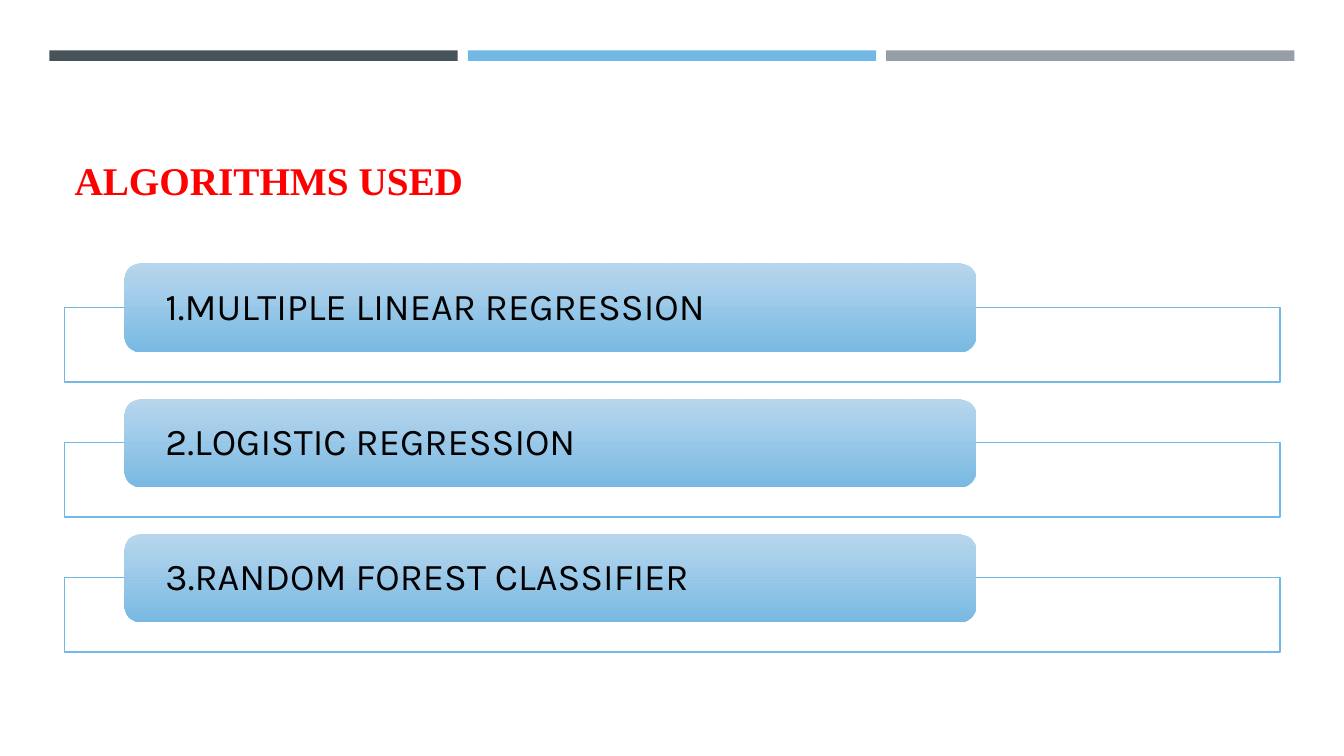
from dataclasses import dataclass

from pptx import Presentation
from pptx.dml.color import RGBColor
from pptx.enum.shapes import MSO_SHAPE
from pptx.enum.text import MSO_ANCHOR, PP_ALIGN
from pptx.oxml.ns import qn
from pptx.oxml.xmlchemy import OxmlElement
from pptx.shapes.autoshape import Shape
from pptx.slide import Slide
from pptx.util import Inches, Pt

RECTANGLE = MSO_SHAPE.RECTANGLE
ROUNDED = MSO_SHAPE.ROUNDED_RECTANGLE
MIDDLE, BOTTOM = MSO_ANCHOR.MIDDLE, MSO_ANCHOR.BOTTOM
LEFT = PP_ALIGN.LEFT

COLOURS = {
    "slate": "465359",
    "blue": "71B9E4",
    "grey": "969FA7",
    "red": "FF0000",
    "white": "FFFFFF",
    "black": "000000",
    "bar_top": "B0D3ED",
    "bar_bottom": "79BAE4",
}

# The grid has 100 columns across the slide and 100 rows down it.
SLIDE_WIDTH, SLIDE_HEIGHT = Inches(13.33), Inches(7.5)
COLUMN, ROW = SLIDE_WIDTH / 100, SLIDE_HEIGHT / 100
STRIPE_PITCH = 31.13
ITEM_PITCH = 17.87
TEXT_INSET = 2.7

TITLE_FONT = {"name": "Times New Roman", "size": Pt(28), "bold": True}
ITEM_FONT = {"name": "Karla", "size": Pt(27), "bold": False}


@dataclass(frozen=True)
class Area:
    """A rectangle in grid columns and rows."""

    left: float
    top: float
    width: float
    height: float

    def moved(self, columns: float = 0, rows: float = 0) -> "Area":
        return Area(self.left + columns, self.top + rows, self.width, self.height)

    def lengths(self) -> tuple[int, int, int, int]:
        return (round(self.left * COLUMN), round(self.top * ROW),
                round(self.width * COLUMN), round(self.height * ROW))


STRIPE = Area(3.68, 6.67, 30.38, 1.4)
TITLE = Area(4.8, 10.27, 90.45, 17.33)
FRAME = Area(4.8, 40.67, 90.45, 9.87)
BAR = Area(9.3, 34.93, 63.3, 11.6)

STRIPE_COLOURS = ["slate", "blue", "grey"]
ALGORITHMS = [
    "1.MULTIPLE LINEAR REGRESSION",
    "2.LOGISTIC REGRESSION",
    "3.RANDOM FOREST CLASSIFIER",
]


def rgb(name: str) -> RGBColor:
    return RGBColor.from_string(COLOURS[name])


def apply_format(target: object, values: dict) -> None:
    for name, value in values.items():
        setattr(target, name, value)


def set_opacity(shape: Shape, percent: int) -> None:
    """Set the opacity of the first colour in the shape's fill."""
    colour = next(shape._element.spPr.iter(qn("a:srgbClr")))
    alpha = OxmlElement("a:alpha")
    alpha.set("val", str(percent * 1000))
    colour.append(alpha)


def add_block(slide: Slide, kind: MSO_SHAPE, area: Area, fill: str) -> Shape:
    block = slide.shapes.add_shape(kind, *area.lengths())
    block.shadow.inherit = False
    block.fill.solid()
    block.fill.fore_color.rgb = rgb(fill)
    block.line.fill.background()
    return block


def write(shape: Shape, text: str, font: dict, colour: str, frame: dict) -> None:
    apply_format(shape.text_frame, {"word_wrap": True, **frame})
    para = shape.text_frame.paragraphs[0]
    para.alignment = LEFT
    span = para.add_run()
    span.text = text
    apply_format(span.font, font)
    span.font.color.rgb = rgb(colour)


def add_title(slide: Slide, text: str) -> None:
    title = slide.shapes.title
    edges = ("left", "top", "width", "height")
    apply_format(title, dict(zip(edges, TITLE.lengths())))
    write(title, text, TITLE_FONT, "red", {"vertical_anchor": BOTTOM})


def add_algorithm(slide: Slide, text: str, rows: float) -> None:
    """Draw an outlined frame with a labelled bar over its upper edge."""
    frame = add_block(slide, RECTANGLE, FRAME.moved(rows=rows), "white")
    set_opacity(frame, 90)
    frame.line.color.rgb = rgb("blue")
    frame.line.width = Pt(1)

    bar = add_block(slide, ROUNDED, BAR.moved(rows=rows), "bar_top")
    bar.fill.gradient()
    bar.fill.gradient_angle = 270
    for stop, colour in zip(bar.fill.gradient_stops, ("bar_top", "bar_bottom")):
        stop.color.rgb = rgb(colour)
    set_opacity(bar, 90)

    inset = round(TEXT_INSET * COLUMN)
    write(bar, text, ITEM_FONT, "black", {
        "vertical_anchor": MIDDLE, "margin_left": inset, "margin_right": inset,
        "margin_top": 0, "margin_bottom": 0,
    })
    bar.text_frame.paragraphs[0].line_spacing = 0.9


def main() -> None:
    deck = Presentation()
    deck.slide_width, deck.slide_height = SLIDE_WIDTH, SLIDE_HEIGHT
    slide = deck.slides.add_slide(deck.slide_layouts.get_by_name("Title Only"))
    for index, colour in enumerate(STRIPE_COLOURS):
        add_block(slide, RECTANGLE, STRIPE.moved(columns=index * STRIPE_PITCH), colour)
    add_title(slide, "ALGORITHMS USED")
    for index, text in enumerate(ALGORITHMS):
        add_algorithm(slide, text, index * ITEM_PITCH)
    deck.save("out.pptx")


if __name__ == "__main__":
    main()
